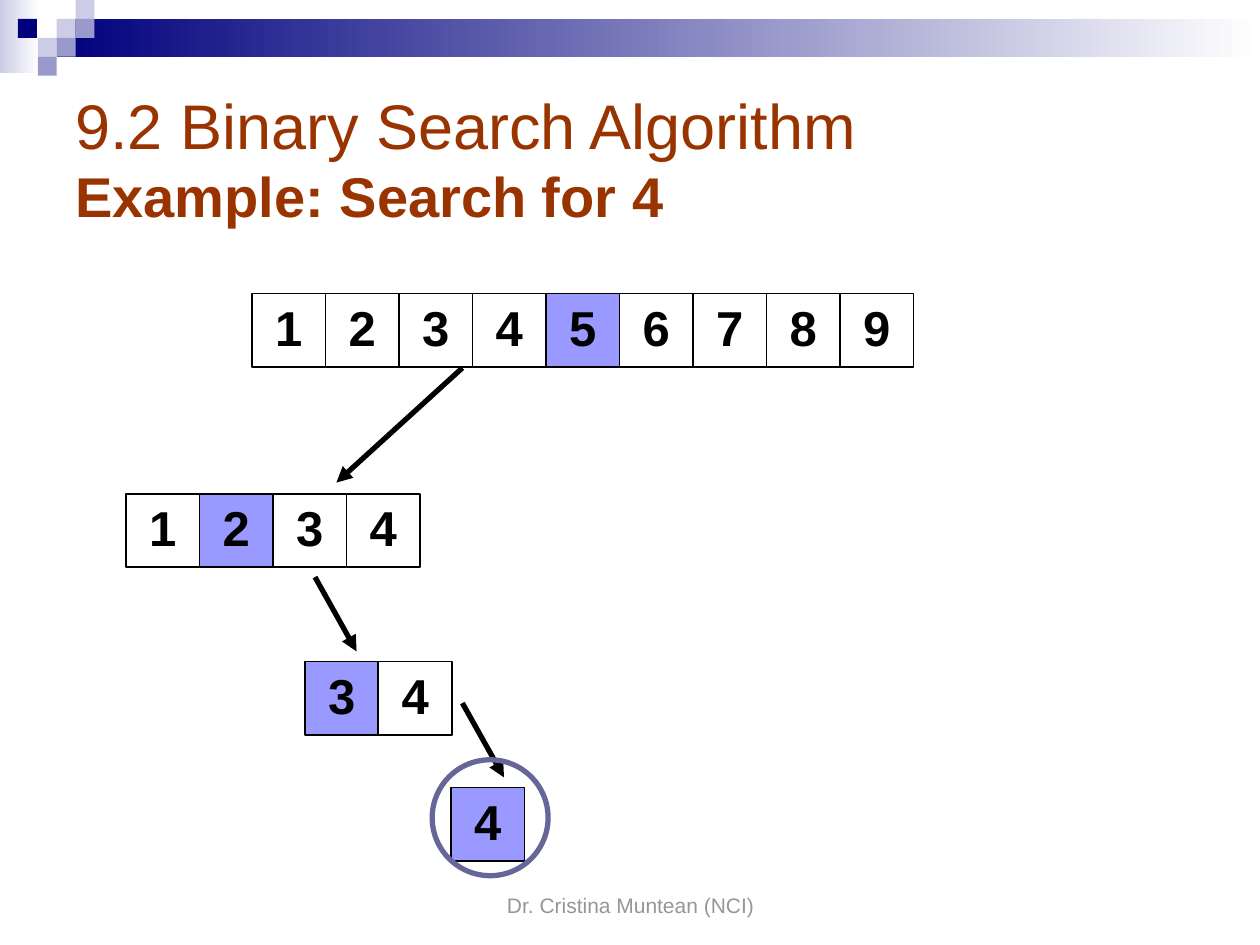
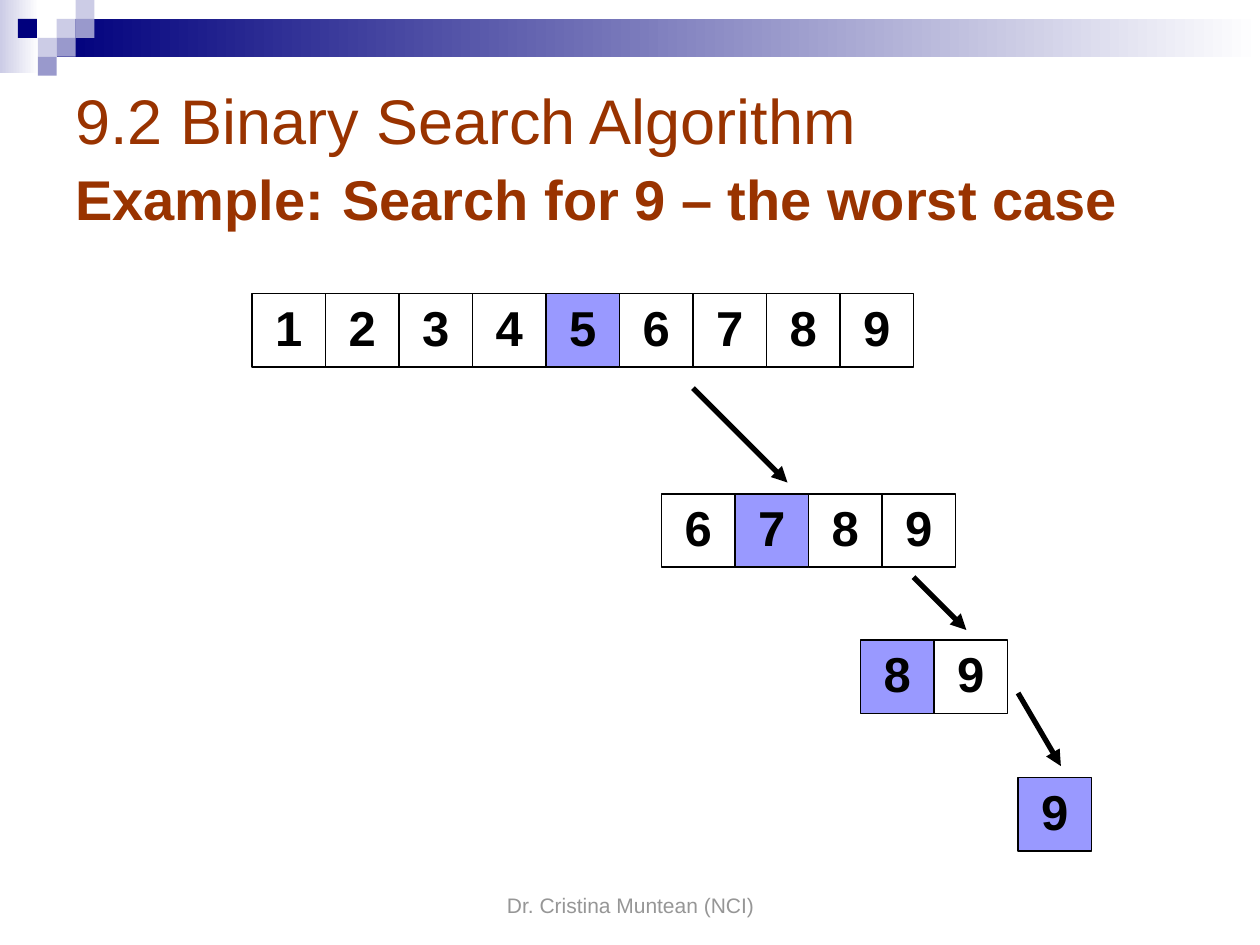
from lxml import etree
from pptx import Presentation
from pptx.dml.color import RGBColor
from pptx.enum.shapes import MSO_CONNECTOR, MSO_SHAPE
from pptx.enum.text import MSO_ANCHOR, PP_ALIGN
from pptx.oxml.ns import qn
from pptx.util import Inches, Pt

COLORS = {
    "navy": "00007D",
    "lavender": "CCCCE6",
    "violet": "9999CC",
    "white": "FFFFFF",
    "black": "000000",
    "title": "993300",
    "footer": "969696",
    "middle": "9999FF",
    "ring": "666699",
}
FONT = "Arial"
CELL = 7 / 12
TILE = 0.15
TITLE_BOX = (0.5, 0.5, 9, 1.5)
FOOTER_BOX = (3.42, 6.83, 3.17, 0.5)
HEADING = "9.2 Binary Search Algorithm"
FOOTER = "Dr. Cristina Muntean (NCI)"


def rgb(name):
    return RGBColor.from_string(COLORS[name])


def write(frame, text, size, color, bold=False, align=PP_ALIGN.LEFT,
          anchor=MSO_ANCHOR.MIDDLE, wrap=True, spacing=None):
    """Add text to the frame's first paragraph, after what it already holds."""
    frame.word_wrap = wrap
    frame.vertical_anchor = anchor
    paragraph = frame.paragraphs[0]
    paragraph.alignment = align
    if spacing:
        paragraph.line_spacing = spacing
    run = paragraph.add_run()
    run.text = text
    run.font.name = FONT
    run.font.size = Pt(size)
    run.font.bold = bold
    run.font.color.rgb = rgb(color)


def add_block(slide, box, fill=None, fade_from=None, line=None, line_width=1,
              kind=MSO_SHAPE.RECTANGLE):
    block = slide.shapes.add_shape(kind, *map(Inches, box))
    block.shadow.inherit = False
    if fade_from:
        block.fill.gradient()
        block.fill.gradient_angle = 0
        for stop, color in zip(block.fill.gradient_stops, (fade_from, "white")):
            stop.color.rgb = rgb(color)
    elif fill:
        block.fill.solid()
        block.fill.fore_color.rgb = rgb(fill)
    else:
        block.fill.background()
    if line:
        block.line.color.rgb = rgb(line)
        block.line.width = Pt(line_width)
    else:
        block.line.fill.background()
    return block


def add_arrow(slide, start, end):
    arrow = slide.shapes.add_connector(
        MSO_CONNECTOR.STRAIGHT, *map(Inches, (*start, *end)))
    arrow.line.color.rgb = rgb("black")
    arrow.line.width = Pt(3)
    etree.SubElement(arrow.line._get_or_add_ln(), qn("a:tailEnd"), type="triangle")
    etree.SubElement(arrow._element.spPr, qn("a:effectLst"))


def add_top_band(slide):
    add_block(slide, (0, 0, 0.31, 0.58), fade_from="lavender")
    add_block(slide, (3 * TILE, TILE, 10 - 3 * TILE, 2 * TILE), fade_from="navy")
    tiles = [(3, 1, "lavender"), (4, 0, "lavender"), (4, 1, "violet"),
             (2, 2, "lavender"), (0.95, 1, "navy"), (3, 2, "violet"),
             (2, 3, "violet")]
    for column, row, color in tiles:
        add_block(slide, (column * TILE, row * TILE, TILE, TILE), color)


def add_title(slide, example):
    """Write the heading and, below it, the (text, size, bold) runs of the example."""
    frame = slide.shapes.add_textbox(*map(Inches, TITLE_BOX)).text_frame
    write(frame, HEADING, 36, "title")
    frame.paragraphs[0].add_line_break()
    for text, size, bold in example:
        write(frame, text, size, "title", bold=bold)


def add_footer(slide):
    frame = slide.shapes.add_textbox(*map(Inches, FOOTER_BOX)).text_frame
    write(frame, FOOTER, 12, "footer", align=PP_ALIGN.CENTER,
          anchor=MSO_ANCHOR.BOTTOM)


def add_search_range(slide, left, top, numbers):
    """Draw the numbers as a row of cells, with the middle one highlighted."""
    middle = (len(numbers) - 1) // 2
    for index, number in enumerate(numbers):
        cell = add_block(slide, (left + index * CELL, top, CELL, CELL),
                         "middle" if index == middle else "white", line="black")
        write(cell.text_frame, str(number), 28, "black", bold=True,
              align=PP_ALIGN.CENTER, wrap=False, spacing=0.9)


def add_search_slide(deck, example, ranges, arrows, found_box=None):
    slide = deck.slides.add_slide(deck.slide_layouts[6])
    add_top_band(slide)
    add_footer(slide)
    add_title(slide, example)
    for start, end in arrows:
        add_arrow(slide, start, end)
    for left, top, numbers in ranges:
        add_search_range(slide, left, top, numbers)
    if found_box:
        add_block(slide, found_box, line="ring", line_width=3, kind=MSO_SHAPE.OVAL)


def main():
    deck = Presentation()
    deck.slide_width, deck.slide_height = Inches(10), Inches(7.5)
    whole_range = (2, 2.33, range(1, 10))
    add_search_slide(
        deck,
        example=[("Example: Search for 4", 32, True)],
        ranges=[whole_range, (1, 3.92, range(1, 5)),
                (2.42, 5.25, range(3, 5)), (3.58, 6.25, [4])],
        arrows=[((3.67, 2.92), (2.67, 3.83)), ((2.5, 4.58), (2.83, 5.17)),
                ((3.67, 5.58), (4, 6.17))],
        found_box=(3.43, 6.03, 0.92, 0.92))
    add_search_slide(
        deck,
        example=[("Example:", 32, True), (" ", 36, False),
                 ("Search for 9 – the worst case", 32, True)],
        ranges=[whole_range, (5.25, 3.92, range(6, 10)),
                (6.83, 5.08, range(8, 10)), (8.08, 6.17, [9])],
        arrows=[((5.5, 3.08), (6.25, 3.83)), ((7.25, 4.58), (7.67, 5)),
                ((8.08, 5.5), (8.42, 6.08))])
    deck.save("out.pptx")


if __name__ == "__main__":
    main()
